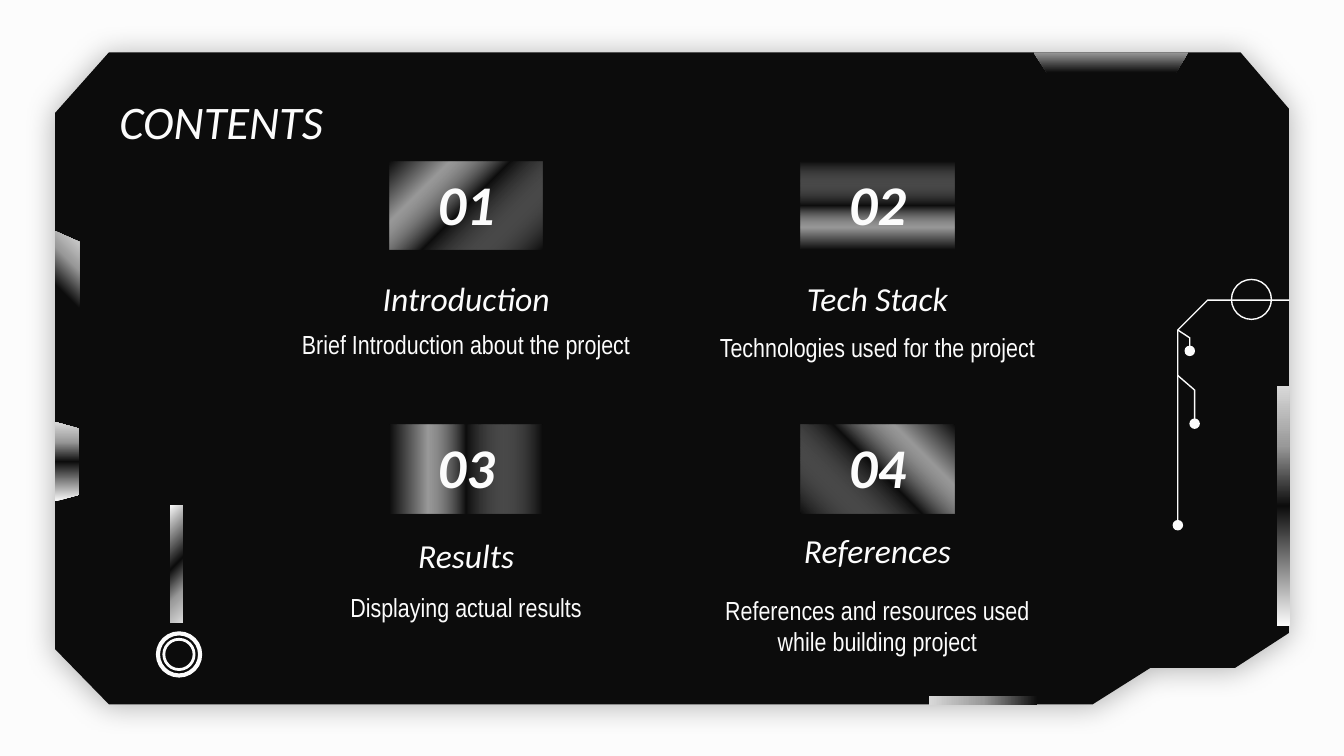
"""Build the dark contents slide with four numbered metallic tiles."""
from pptx import Presentation
from pptx.dml.color import RGBColor
from pptx.enum.shapes import MSO_SHAPE as Shape
from pptx.enum.text import MSO_ANCHOR as Anchor, PP_ALIGN as Align
from pptx.oxml import parse_xml
from pptx.oxml.ns import nsdecls, qn
from pptx.util import Pt

WHITE = RGBColor(0xFC, 0xFC, 0xFC)
BLACK = RGBColor(0x0C, 0x0C, 0x0C)
GREY = RGBColor(0x99, 0x99, 0x99)
SILVER = RGBColor(0xD9, 0xD9, 0xD9)
CLEAR = RGBColor(0xFF, 0xFF, 0xFF)

CHROME = [(0, WHITE), (50, BLACK), (75, GREY), (100, SILVER)]
SHADE = [(0, BLACK), (50, BLACK), (75, GREY), (100, SILVER)]
FADE = [(0, GREY), (100, BLACK)]
GLINT = [(0, BLACK), (50, GREY), (100, SILVER)]
TILE = [(0, BLACK), (25, GREY), (50, CLEAR), (100, BLACK)]

PANEL = [(58.3, 28.1), (29.5, 60.5), (29.5, 347.8), (58.3, 377.3), (585.4, 377.3),
         (616.3, 357.8), (661.7, 357.8), (690.5, 339.1), (690.5, 58.3), (664.6, 28.1)]
TABS = [
    ([(553.7, 28.1), (636.5, 28.1), (630, 38.9), (560.9, 38.9)], FADE, 90),
    ([(29.5, 226.1), (42.5, 229.7), (42.5, 265), (29.5, 268.6)], CHROME, 270),
    ([(29.5, 123.8), (42.5, 129.6), (42.5, 187.9), (29.5, 194.4)], SHADE, 315),
]
BARS = [
    ((684, 206.6, 6.9, 128.9), CHROME, 270),
    ((497.5, 373, 58.3, 4.5), GLINT, 180),
    ((91.2, 270.6, 6.8, 63), CHROME, 45),
]
TRACES = [
    [(631, 281.4), (631, 176.8), (647, 160.8), (690.8, 160.8)],
    [(631, 201.2), (640, 209), (640, 227)],
    [(631, 176.8), (637.4, 181), (637.4, 188)],
]
DOT_DIAMETER = 5.6
RINGS = [(670.4, 160.4, 21.4, 0.75), (95.9, 350.6, 22.6, 2.2), (95.9, 350.6, 16.2, 1.5)]

COLUMN_GAP, ROW_GAP = 220.3, 141.1
TILE_LEFT, TILE_TOP = 208.8, 86.4
TEXT_LEFT, TEXT_WIDTH = 149, 201.6
ENTRIES = [
    ("01", 45, "Introduction", 145.4, 32.4, "Brief Introduction about the project", 168.5),
    ("02", 270, "Tech Stack", 139.7, 38.2, "Technologies used for the project", 170.6),
    ("03", 0, "Results", 258.5, 56.9, "Displaying actual results", 309.6),
    ("04", 135, "References", 255.6, 56.9,
     "References and resources used while building project", 311),
]


def set_gradient(shape, stops, angle):
    """Fill a shape with a linear gradient; CLEAR stops are transparent."""
    shape.fill.gradient()
    stop_xml = "".join(
        f'<a:gs pos="{position * 1000}"><a:srgbClr val="{color}">'
        f'{"<a:alpha val=" + chr(34) + "0" + chr(34) + "/>" if color == CLEAR else ""}'
        '</a:srgbClr></a:gs>'
        for position, color in stops)
    properties = shape._element.spPr
    gradient = parse_xml(
        f'<a:gradFill {nsdecls("a")} rotWithShape="1"><a:gsLst>{stop_xml}</a:gsLst>'
        f'<a:lin ang="{angle * 60000}" scaled="0"/></a:gradFill>')
    properties.replace(properties.find(qn("a:gradFill")), gradient)


def set_solid(shape, color):
    """Fill a shape with one colour."""
    shape.fill.solid()
    shape.fill.fore_color.rgb = color


def set_outline(shape, width):
    """Leave a shape unfilled and give it a white line."""
    shape.fill.background()
    shape.line.color.rgb = WHITE
    shape.line.width = Pt(width)


def add_preset(slide, kind, left, top, width, height):
    """Add a preset shape without line or shadow."""
    shape = slide.shapes.add_shape(kind, Pt(left), Pt(top), Pt(width), Pt(height))
    shape.shadow.inherit = False
    shape.line.fill.background()
    return shape


def add_circle(slide, center_x, center_y, diameter):
    """Add a circle around a centre."""
    radius = diameter / 2
    return add_preset(slide, Shape.OVAL, center_x - radius, center_y - radius,
                      diameter, diameter)


def add_outline(slide, points, close=True):
    """Add a freeform through the points, without line or shadow."""
    start, *rest = [(Pt(x), Pt(y)) for x, y in points]
    builder = slide.shapes.build_freeform(*start)
    builder.add_line_segments(rest, close=close)
    shape = builder.convert_to_shape()
    shape.shadow.inherit = False
    shape.line.fill.background()
    return shape


def add_panel(slide):
    """Add the dark cut-corner panel with its soft shadow."""
    panel = add_outline(slide, PANEL)
    set_solid(panel, BLACK)
    panel._element.spPr.find(qn("a:effectLst")).append(parse_xml(
        f'<a:outerShdw {nsdecls("a")} blurRad="{Pt(15.8)}" dist="{Pt(1.5)}" '
        'dir="5400000" algn="bl" rotWithShape="0">'
        '<a:srgbClr val="000000"><a:alpha val="30000"/></a:srgbClr></a:outerShdw>'))


def add_decoration(slide):
    """Add the circuit traces, metallic tabs, bars and rings."""
    for points in TRACES:
        set_outline(add_outline(slide, points, close=False), 0.75)
    for points in TRACES:
        end = points[0] if points is TRACES[0] else points[-1]
        set_solid(add_circle(slide, *end, DOT_DIAMETER), WHITE)
    for center_x, center_y, diameter, width in RINGS:
        set_outline(add_circle(slide, center_x, center_y, diameter), width)
    for points, stops, angle in TABS:
        set_gradient(add_outline(slide, points), stops, angle)
    for box, stops, angle in BARS:
        set_gradient(add_preset(slide, Shape.RECTANGLE, *box), stops, angle)


def write_text(shape, text, font_name, size, align=Align.CENTER, anchor=Anchor.TOP,
               bold=False, italic=False):
    """Put one formatted paragraph into a shape."""
    frame = shape.text_frame
    frame.text = text
    frame.word_wrap = True
    frame.vertical_anchor = anchor
    frame.margin_left = frame.margin_right = Pt(7.2)
    frame.margin_top = frame.margin_bottom = Pt(7.2)
    paragraph = frame.paragraphs[0]
    paragraph.alignment = align
    font = paragraph.runs[0].font
    font.name, font.size = font_name, Pt(size)
    font.bold, font.italic = bold, italic
    font.color.rgb = WHITE


def add_text(slide, box, *content, **style):
    """Add a text box with one formatted paragraph."""
    shape = slide.shapes.add_textbox(*(Pt(length) for length in box))
    write_text(shape, *content, **style)


def add_entry(slide, index, entry):
    """Add a numbered tile with its heading and description."""
    number, angle, heading, heading_top, heading_height, body, body_top = entry
    row, column = divmod(index, 2)
    shift = column * COLUMN_GAP
    tile = add_preset(slide, Shape.RECTANGLE, TILE_LEFT + shift,
                      TILE_TOP + row * ROW_GAP, 82.1, 47.5)
    set_gradient(tile, TILE, angle)
    write_text(tile, number, "Calibri", 30, anchor=Anchor.BOTTOM, bold=True, italic=True)
    left = TEXT_LEFT + shift
    add_text(slide, (left, heading_top, TEXT_WIDTH, heading_height), heading,
             "Calibri", 18, anchor=Anchor.BOTTOM, italic=True)
    add_text(slide, (left, body_top, TEXT_WIDTH, 47.5), body, "Arial Narrow", 14)


def main():
    """Build and save the slide."""
    presentation = Presentation()
    presentation.slide_width, presentation.slide_height = Pt(720), Pt(405)
    slide = presentation.slides.add_slide(presentation.slide_layouts[6])
    set_solid(slide.background, WHITE)
    add_panel(slide)
    add_decoration(slide)
    add_text(slide, (56.9, 42.5, 607, 43.9), "CONTENTS", "Calibri", 25,
             align=Align.LEFT, italic=True)
    for index, entry in enumerate(ENTRIES):
        add_entry(slide, index, entry)
    presentation.save("out.pptx")


if __name__ == "__main__":
    main()
